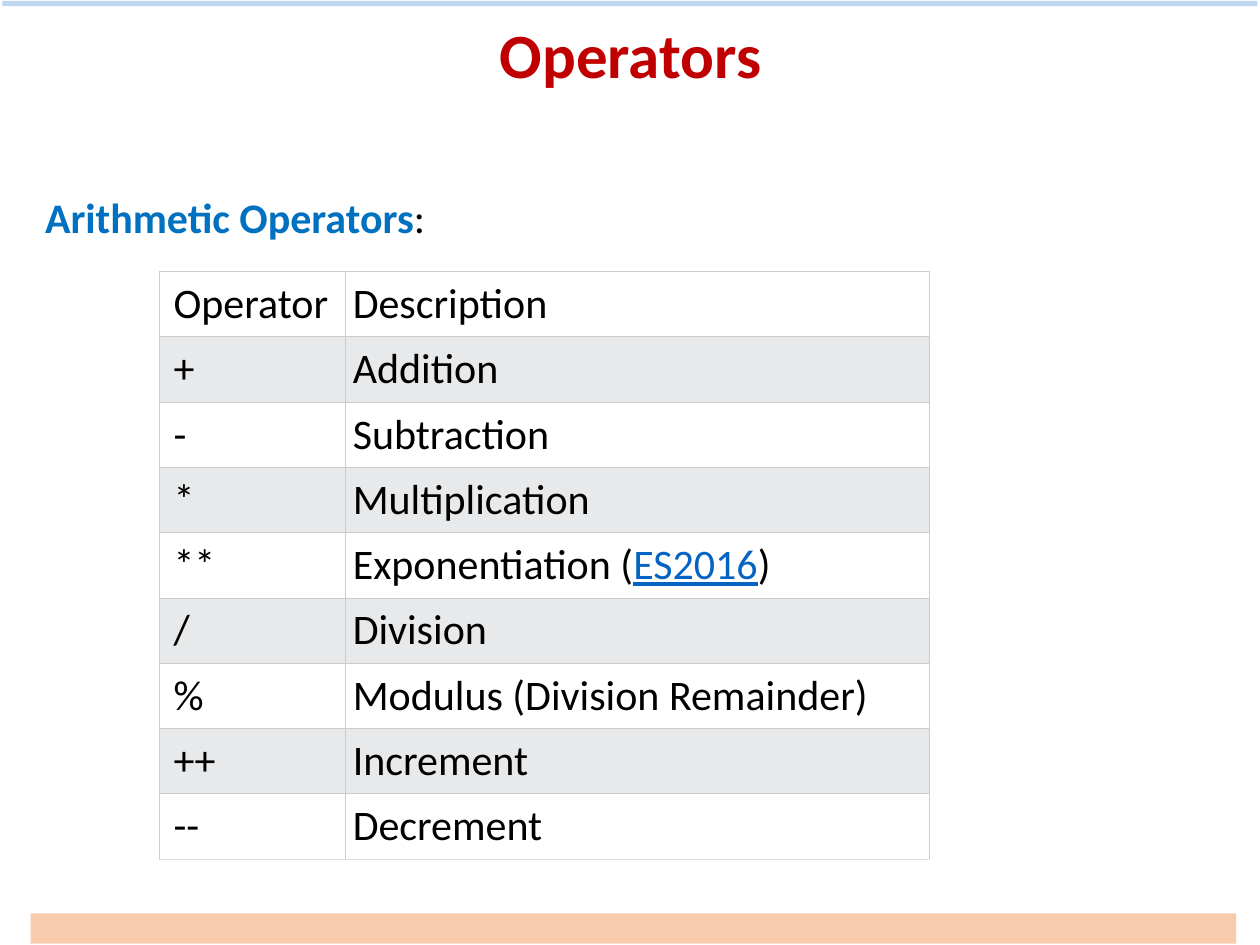
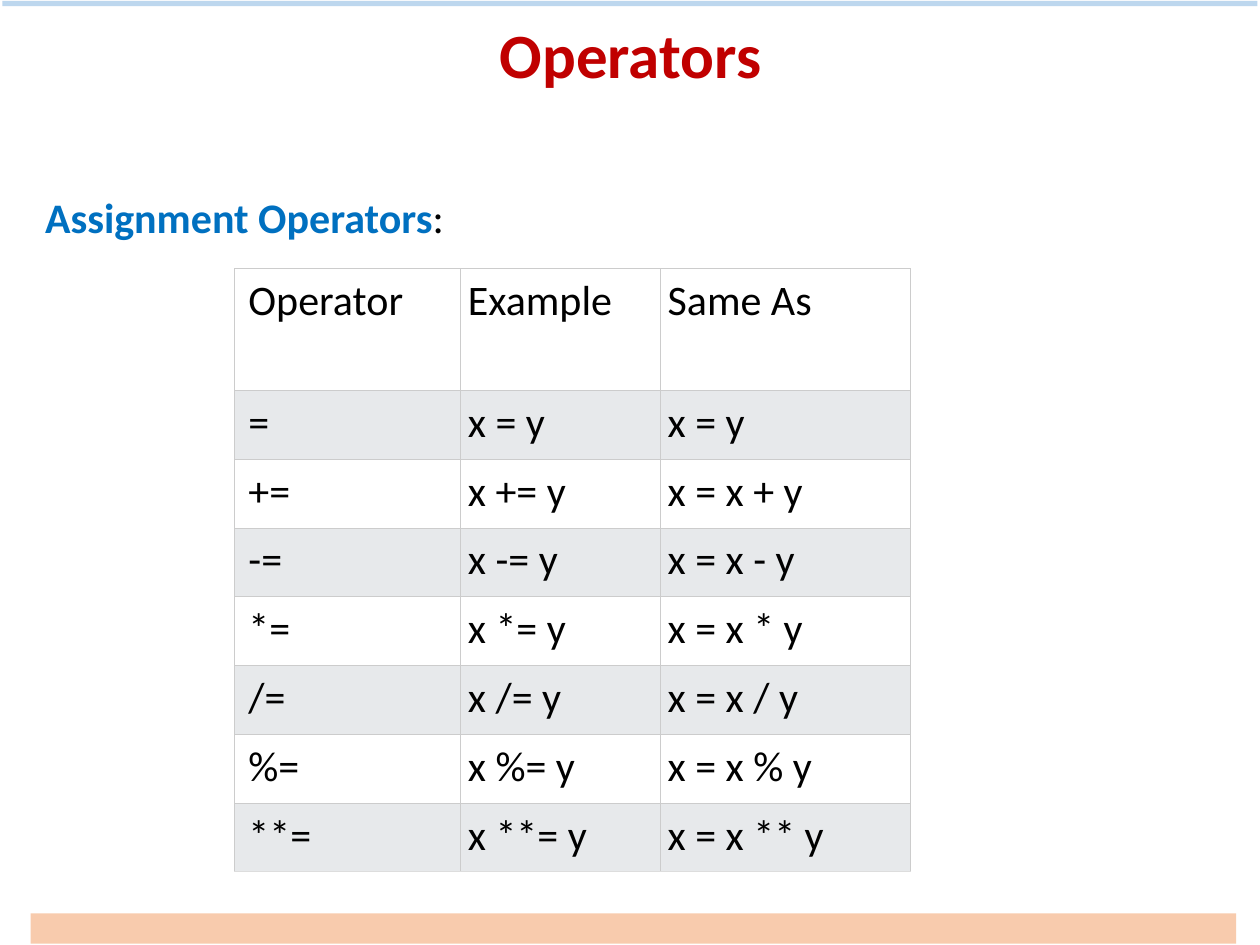
from lxml.etree import SubElement
from pptx import Presentation
from pptx.dml.color import RGBColor
from pptx.enum.shapes import MSO_SHAPE
from pptx.enum.text import PP_ALIGN
from pptx.oxml.ns import qn
from pptx.util import Pt

FONT = "Calibri"
COLORS = {
    "title": "C00000",
    "heading": "0070C0",
    "text": "000000",
    "link": "0563C1",
    "top_band": "BDD7EE",
    "bottom_band": "F8CBAD",
    "row": "FFFFFF",
    "alt_row": "E7E9EB",
    "border": "CCCCCC",
    "last_border": "DDDDDD",
}
LINKED_WORD = "ES2016"

ARITHMETIC = [
    ("Operator", "Description"),
    ("+", "Addition"),
    ("-", "Subtraction"),
    ("*", "Multiplication"),
    ("**", "Exponentiation (ES2016)"),
    ("/", "Division"),
    ("%", "Modulus (Division Remainder)"),
    ("++", "Increment"),
    ("--", "Decrement"),
]
ASSIGNMENT = [("Operator", "Example", "Same As"), ("=", "x = y", "x = y")] + [
    (f"{op}=", f"x {op}= y", f"x = x {op} y") for op in ("+", "-", "*", "/", "%", "**")
]


def rgb(name):
    return RGBColor.from_string(COLORS[name])


def style_font(font, size, color, bold=False):
    font.name, font.size, font.bold = FONT, Pt(size), bold
    font.color.rgb = rgb(color)


def add_band(slide, left, top, width, height, color):
    sp = slide.shapes.add_shape(
        MSO_SHAPE.RECTANGLE, Pt(left), Pt(top), Pt(width), Pt(height))
    sp.shadow.inherit = False
    sp.fill.solid()
    sp.fill.fore_color.rgb = rgb(color)
    sp.line.fill.background()


def add_text(slide, top, height):
    """Add a full-width text box and return its first paragraph."""
    tf = slide.shapes.add_textbox(Pt(18.7), Pt(top), Pt(683.3), Pt(height)).text_frame
    tf.word_wrap = True
    p = tf.paragraphs[0]
    p.line_spacing = 0.9
    return p


def add_title(slide, text):
    p = add_text(slide, 10, 91.5)
    p.alignment = PP_ALIGN.CENTER
    style_font(p.font, 36, "title", bold=True)
    p.add_run().text = text


def add_heading(slide, text):
    """Add a bold coloured heading followed by a plain colon."""
    p = add_text(slide, 109.4, 389.5)
    p.space_before = Pt(10)
    for part, color, bold in ((text, "heading", True), (":", "text", False)):
        r = p.add_run()
        r.text = part
        style_font(r.font, 24, color, bold)


def set_borders(cell, bottom):
    tc_pr = cell._tc.get_or_add_tcPr()
    for side in ("L", "R", "T", "B"):
        ln = SubElement(tc_pr, qn(f"a:ln{side}"), w=str(Pt(0.5)))
        fill = SubElement(ln, qn("a:solidFill"))
        color = bottom if side == "B" else "border"
        SubElement(fill, qn("a:srgbClr"), val=COLORS[color])


def write_cell(cell, text):
    """Write the cell text, showing the linked word underlined."""
    p = cell.text_frame.paragraphs[0]
    style_font(p.font, 24, "text")
    before, word, after = text.partition(LINKED_WORD)
    for part in filter(None, (before, word, after)):
        r = p.add_run()
        r.text = part
        if part == LINKED_WORD:
            r.font.underline = True
            r.font.color.rgb = rgb("link")


def add_operator_table(slide, left, top, widths, header_height, row_height, rows):
    heights = [header_height] + [row_height] * (len(rows) - 1)
    table = slide.shapes.add_table(
        len(rows), len(widths), Pt(left), Pt(top),
        Pt(sum(widths)), Pt(sum(heights))).table
    table.first_row = table.horz_banding = False
    for column, width in zip(table.columns, widths):
        column.width = Pt(width)
    for i, (row, height) in enumerate(zip(rows, heights)):
        table.rows[i].height = Pt(height)
        for j, text in enumerate(row):
            cell = table.cell(i, j)
            cell.margin_left = Pt(4 if j else 8)
            cell.margin_right = cell.margin_top = cell.margin_bottom = Pt(4)
            set_borders(cell, "last_border" if i == len(rows) - 1 else "border")
            cell.fill.solid()
            cell.fill.fore_color.rgb = rgb("alt_row" if i % 2 else "row")
            write_cell(cell, text)


def add_operator_slide(prs, heading):
    slide = prs.slides.add_slide(prs.slide_layouts[6])
    add_band(slide, 17.5, 522, 689, 17.3, "bottom_band")
    add_band(slide, 1.3, 0.6, 717.2, 3, "top_band")
    add_title(slide, "Operators")
    add_heading(slide, heading)
    return slide


def main():
    prs = Presentation()
    prs.slide_width, prs.slide_height = Pt(720), Pt(540)

    slide = add_operator_slide(prs, "Arithmetic Operators")
    add_operator_table(slide, 91.2, 155.2, (106.4, 333.6), 37.33, 37.33, ARITHMETIC)

    slide = add_operator_slide(prs, "Assignment Operators")
    add_operator_table(slide, 134, 153.4, (129.4, 114.2, 142.8), 69.8, 39.3, ASSIGNMENT)

    prs.save("out.pptx")


if __name__ == "__main__":
    main()
